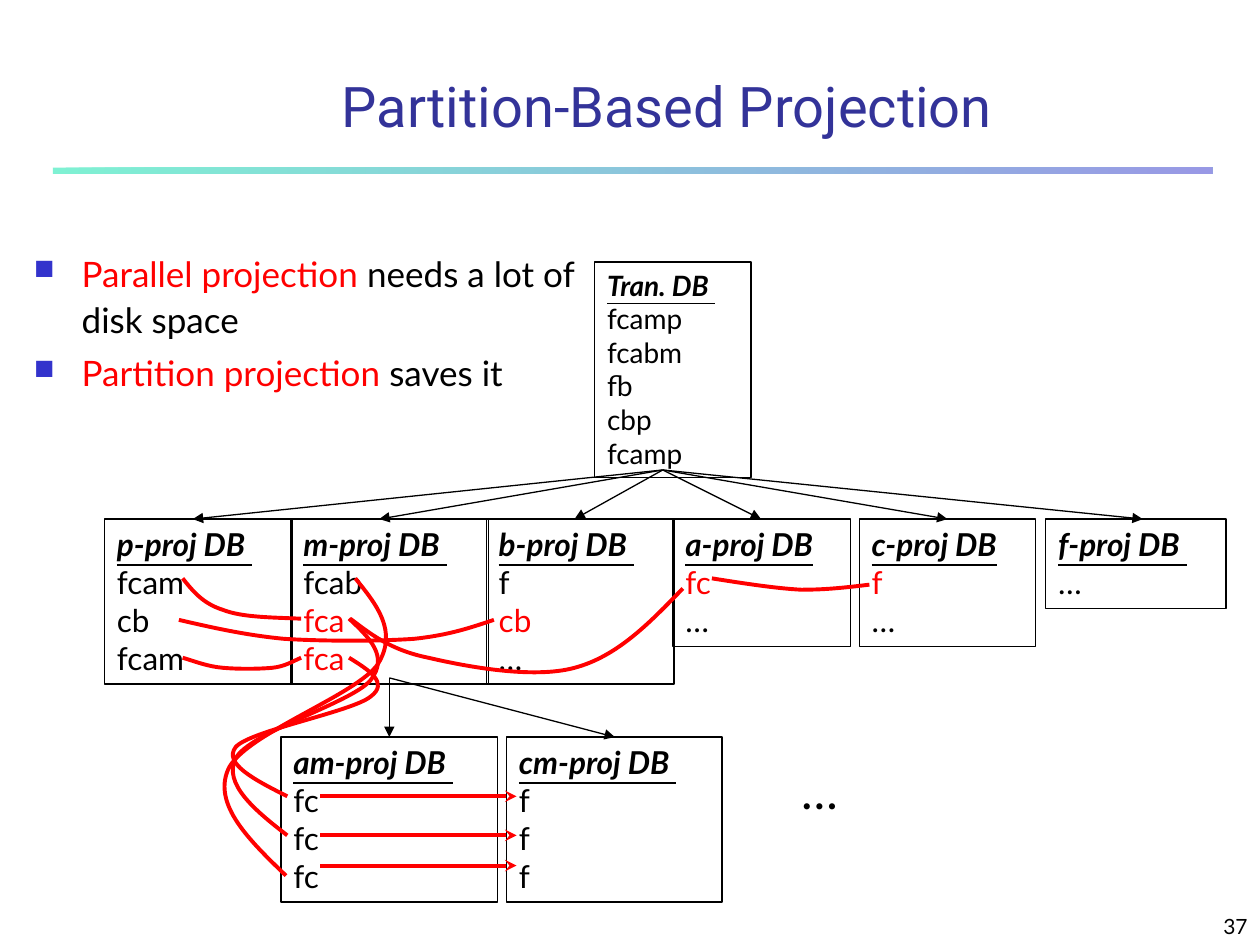
"""Build the Partition-Based Projection slide."""
from dataclasses import dataclass

from lxml.etree import SubElement
from pptx import Presentation
from pptx.dml.color import RGBColor
from pptx.enum.shapes import MSO_CONNECTOR, MSO_SHAPE
from pptx.enum.text import MSO_ANCHOR, MSO_AUTO_SIZE, PP_ALIGN
from pptx.oxml.ns import qn
from pptx.util import Inches, Pt

COLORS = {"black": "000000", "red": "FF0000", "title": "333399",
          "bullet": "3333CC", "teal": "00E4A8"}
BODY_FONT = "Lato"
Point = tuple[float, float]


@dataclass(frozen=True)
class Database:
    left: float
    top: float
    width: float
    heading: str
    rows: tuple[str, ...]
    red_rows: tuple[int, ...] = ()
    size: int = 18

    @property
    def height(self) -> float:
        return 0.11 + (len(self.rows) + 1) * self.size * 1.2 / 72


@dataclass(frozen=True)
class Arrow:
    start: Point
    end: Point
    color: str = "black"
    width: float = 0.75
    head: str = "triangle"


DATABASES = [
    Database(4.72, 2.08, 1.24, "Tran. DB ", ("fcamp", "fcabm", "fb", "cbp", "fcamp"), size=16),
    Database(0.83, 4.12, 1.49, "p-proj DB ", ("fcam", "cb", "fcam")),
    Database(2.31, 4.12, 1.57, "m-proj DB ", ("fcab", "fca", "fca"), (1, 2)),
    Database(3.86, 4.12, 1.49, "b-proj DB ", ("f", "cb", "…"), (1,)),
    Database(5.34, 4.12, 1.41, "a-proj DB", ("fc", "…"), (0,)),
    Database(6.82, 4.12, 1.4, "c-proj DB", ("f", "…"), (0,)),
    Database(8.3, 4.12, 1.43, "f-proj DB ", ("…",)),
    Database(2.23, 5.85, 1.72, "am-proj DB ", ("fc", "fc", "fc")),
    Database(4.02, 5.85, 1.71, "cm-proj DB ", ("f", "f", "f")),
]
ARROWS = [
    *(Arrow((5.26, 3.73), (x, 4.12)) for x in (1.53, 3.01, 4.56, 6.04, 7.52, 9.07)),
    *(Arrow((3.09, 5.38), (x, 5.85)) for x in (3.09, 4.88)),
    *(Arrow((2.54, y), (4.1, y), "red", 2.25, "stealth") for y in (6.32, 6.63, 6.87)),
]
CURVES: list[list[Point]] = [
    [(1.45, 4.59), (1.53, 4.69), (1.61, 4.79), (1.77, 4.84),
     (1.92, 4.9), (2.16, 4.9), (2.39, 4.91)],
    [(2.78, 4.91), (2.94, 5.03), (3.1, 5.16), (3.4, 5.22), (3.7, 5.29),
     (4.23, 5.39), (4.56, 5.3), (4.9, 5.21), (5.16, 4.94), (5.42, 4.67)],
    [(5.65, 4.59), (5.9, 4.63), (6.16, 4.67), (6.36, 4.68),
     (6.57, 4.68), (6.73, 4.66), (6.9, 4.64)],
    [(1.45, 5.22), (1.55, 5.25), (1.65, 5.29), (1.77, 5.3), (1.88, 5.31),
     (2.05, 5.31), (2.16, 5.3), (2.26, 5.29), (2.32, 5.25), (2.39, 5.22)],
    [(2.77, 5.22), (2.93, 5.32), (3.09, 5.42), (2.94, 5.53), (2.79, 5.65),
     (1.98, 5.8), (1.87, 5.93), (1.77, 6.06), (2.02, 6.19), (2.28, 6.32)],
    [(2.77, 4.91), (2.93, 5.06), (3.09, 5.21), (2.94, 5.4), (2.79, 5.58),
     (1.98, 5.81), (1.87, 6.02), (1.77, 6.22), (2.02, 6.43), (2.28, 6.63)],
    [(2.82, 4.59), (2.99, 4.8), (3.16, 5.01), (3, 5.27), (2.83, 5.52),
     (1.93, 5.83), (1.81, 6.11), (1.69, 6.39), (1.98, 6.67), (2.27, 6.95)],
    [(1.42, 4.92), (1.68, 4.98), (1.94, 5.04), (2.25, 5.07), (2.56, 5.09),
     (3.01, 5.09), (3.29, 5.07), (3.57, 5.04), (3.74, 4.98), (3.92, 4.92)],
]
BULLETS = [("Parallel projection ", "needs a lot of disk space"),
           ("Partition projection ", "saves it")]


def rgb(name: str) -> RGBColor:
    return RGBColor.from_string(COLORS[name])


def style_font(font, size: float, color: str = "black", name: str = BODY_FONT) -> None:
    font.name = name
    font.size = Pt(size)
    font.color.rgb = rgb(color)


def style_line(line, color: str, width: float) -> None:
    line.color.rgb = rgb(color)
    line.width = Pt(width)


def add_text(slide, left: float, top: float, width: float, height: float):
    frame = slide.shapes.add_textbox(
        Inches(left), Inches(top), Inches(width), Inches(height)).text_frame
    frame.word_wrap = True
    return frame


def add_label(slide, box: tuple[float, ...], text: str, size: float):
    frame = add_text(slide, *box)
    frame.text = text
    style_font(frame.paragraphs[0].runs[0].font, size)
    return frame


def add_title(slide) -> None:
    title = slide.shapes.title
    title.left, title.top = Inches(1), Inches(0.5)
    title.width, title.height = Inches(8.59), Inches(0.67)
    frame = title.text_frame
    frame.text = "Partition-Based Projection"
    frame.vertical_anchor = MSO_ANCHOR.MIDDLE
    frame.paragraphs[0].alignment = PP_ALIGN.CENTER
    style_font(frame.paragraphs[0].runs[0].font, 32, "title", "Roboto")


def add_rule(slide) -> None:
    rule = slide.shapes.add_shape(
        MSO_SHAPE.RECTANGLE, Inches(0.42), Inches(1.33), Inches(9.2), Inches(0.05))
    rule.shadow.inherit = False
    rule.line.fill.background()
    rule.fill.gradient()
    rule.fill.gradient_angle = 0
    for stop, color in zip(rule.fill.gradient_stops, ("teal", "bullet")):
        stop.color.rgb = rgb(color)
    for tint in rule._element.spPr.iter(qn("a:srgbClr")):
        SubElement(tint, qn("a:alpha"), val="50000")


def add_bullets(slide) -> None:
    frame = add_text(slide, 0.17, 1.92, 4.5, 1.5)
    for index, (term, remark) in enumerate(BULLETS):
        paragraph = frame.add_paragraph() if index else frame.paragraphs[0]
        paragraph.line_spacing = 1.1
        paragraph.space_before = Pt(4 * index)
        for text, color in ((term, "red"), (remark, "black")):
            run = paragraph.add_run()
            run.text = text
            style_font(run.font, 20, color)
        properties = paragraph._p.get_or_add_pPr()
        properties.set("marL", str(Inches(0.38)))
        properties.set("indent", str(Inches(-0.38)))
        SubElement(SubElement(properties, qn("a:buClr")), qn("a:srgbClr"), val=COLORS["bullet"])
        SubElement(properties, qn("a:buSzPct"), val="80000")
        SubElement(properties, qn("a:buChar"), char="■")


def add_database(slide, database: Database) -> None:
    box = slide.shapes.add_shape(
        MSO_SHAPE.RECTANGLE, Inches(database.left), Inches(database.top),
        Inches(database.width), Inches(database.height))
    box.shadow.inherit = False
    box.fill.background()
    style_line(box.line, "black", 0.75)
    frame = box.text_frame
    frame.word_wrap = True
    frame.auto_size = MSO_AUTO_SIZE.SHAPE_TO_FIT_TEXT
    frame.vertical_anchor = MSO_ANCHOR.TOP
    frame.text = "\n".join((database.heading, *database.rows))
    for row, paragraph in enumerate(frame.paragraphs, start=-1):
        paragraph.alignment = PP_ALIGN.LEFT
        font = paragraph.runs[0].font
        style_font(font, database.size, "red" if row in database.red_rows else "black")
        font.bold = font.italic = font.underline = row < 0


def add_arrow(slide, arrow: Arrow) -> None:
    connector = slide.shapes.add_connector(
        MSO_CONNECTOR.STRAIGHT, *map(Inches, (*arrow.start, *arrow.end)))
    style_line(connector.line, arrow.color, arrow.width)
    SubElement(connector.line._get_or_add_ln(), qn("a:tailEnd"), type=arrow.head)
    SubElement(connector._element.spPr, qn("a:effectLst"))


def add_curve(slide, points: list[Point]) -> None:
    start, *controls = [(Inches(x), Inches(y)) for x, y in points]
    builder = slide.shapes.build_freeform(*start)
    builder.add_line_segments(controls, close=False)
    curve = builder.convert_to_shape()
    segments = list(curve._element.spPr.iter(qn("a:lnTo")))
    outline = segments[0].getparent()
    for first in range(0, len(segments), 3):
        bezier = SubElement(outline, qn("a:cubicBezTo"))
        for segment in segments[first:first + 3]:
            bezier.append(segment[0])
            outline.remove(segment)
    curve.shadow.inherit = False
    curve.fill.background()
    style_line(curve.line, "red", 2.25)


def main() -> None:
    deck = Presentation()
    deck.slide_width, deck.slide_height = Inches(10), Inches(7.5)
    slide = deck.slides.add_slide(deck.slide_layouts[5])
    add_rule(slide)
    add_title(slide)
    add_bullets(slide)
    for database in DATABASES:
        add_database(slide, database)
    for arrow in ARROWS:
        add_arrow(slide, arrow)
    for points in CURVES:
        add_curve(slide, points)
    add_label(slide, (6.26, 5.99, 0.52, 0.57), "…", 28)
    number = add_label(slide, (7.92, 7.08, 2.08, 0.42), "37", 12)
    number.vertical_anchor = MSO_ANCHOR.BOTTOM
    number.paragraphs[0].alignment = PP_ALIGN.RIGHT
    deck.save("out.pptx")


if __name__ == "__main__":
    main()
